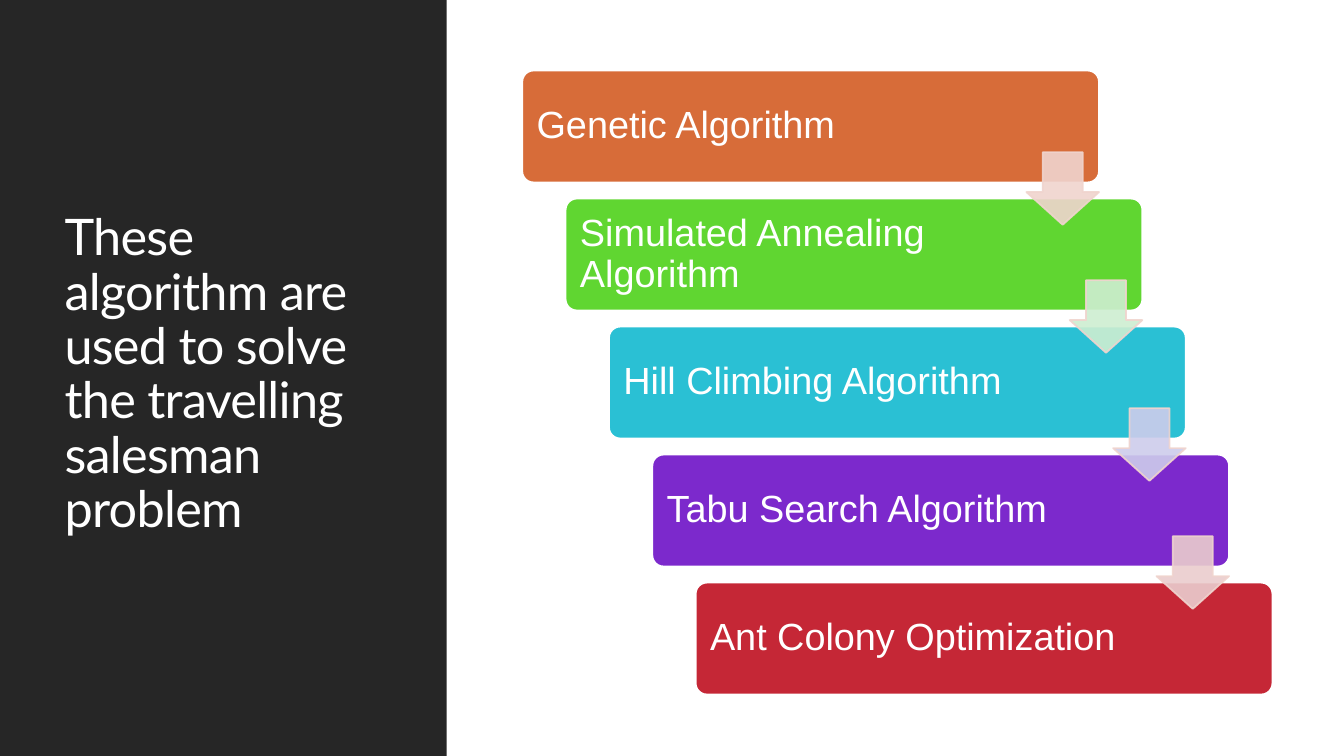
from lxml.etree import SubElement
from pptx import Presentation
from pptx.dml.color import RGBColor
from pptx.enum.shapes import MSO_SHAPE
from pptx.enum.text import MSO_ANCHOR, MSO_AUTO_SIZE, PP_ALIGN
from pptx.oxml.ns import qn
from pptx.util import Inches, Pt

WHITE, CHARCOAL, BLUSH = "FFFFFF", "262626", "F0D4CE"
ARROW_OPACITY = 90

# Algorithm, card colour, colour of the arrow leading to the next card
STEPS = [
    ("Genetic Algorithm", "D76C39", "F0D4CE"),
    ("Simulated Annealing Algorithm", "60D631", "CEEED1"),
    ("Hill Climbing Algorithm", "2AC0D4", "CECDEC"),
    ("Tabu Search Algorithm", "7C29CC", "EACDCE"),
    ("Ant Colony Optimization", "C52736", None),
]

# Staircase geometry in inches
FIRST_LEFT, FIRST_TOP = 5.18, 0.7
STEP_RIGHT, STEP_DOWN = 0.43, 1.27
CARD_WIDTH, CARD_HEIGHT = 5.72, 1.11
ARROW_SIZE, ARROW_RIGHT, ARROW_DOWN = 0.72, 5.0, 0.81


def paint(format_with_color, color, opacity=100):
    """Apply a solid colour to a fill, with optional transparency."""
    format_with_color.solid()
    format_with_color.fore_color.rgb = RGBColor.from_string(color)
    if opacity < 100:
        solid = format_with_color.fore_color._xFill
        SubElement(solid[0], qn("a:alpha"), val=str(opacity * 1000))


def add_block(slide, kind, box, color, line=None, opacity=100, adjust=()):
    block = slide.shapes.add_shape(kind, *(Inches(length) for length in box))
    block.shadow.inherit = False
    for index, value in enumerate(adjust):
        block.adjustments[index] = value
    paint(block.fill, color, opacity)
    if line:
        block.line.width = Pt(1.25)
        paint(block.line.fill, line, opacity)
    else:
        block.line.fill.background()
    return block


def write(holder, text, font, size, color=WHITE, margins=(0.1, 0.05, 0.1, 0.05),
          space_after=0, tracking=0):
    """Fill a shape with left-aligned, vertically centred text."""
    frame = holder.text_frame
    frame.word_wrap = True
    frame.auto_size = MSO_AUTO_SIZE.NONE
    frame.vertical_anchor = MSO_ANCHOR.MIDDLE
    (frame.margin_left, frame.margin_top,
     frame.margin_right, frame.margin_bottom) = (Inches(m) for m in margins)
    paragraph = frame.paragraphs[0]
    paragraph.alignment = PP_ALIGN.LEFT
    paragraph.line_spacing = 0.9
    paragraph.space_before = Pt(0)
    paragraph.space_after = Pt(space_after)
    run = paragraph.add_run()
    run.text = text
    run.font.name = font
    run.font.size = Pt(size)
    run.font.color.rgb = RGBColor.from_string(color)
    if tracking:
        run.font._element.set("spc", str(int(tracking * 100)))


def add_sidebar(slide):
    sidebar = add_block(slide, MSO_SHAPE.RECTANGLE, (0, 0, 4.43, 7.5), CHARCOAL)
    # Send the panel behind the title
    slide.shapes._spTree.insert(2, sidebar._element)
    title = slide.shapes.title
    title.left, title.top = Inches(0.54), Inches(0.57)
    title.width, title.height = Inches(3.37), Inches(6.31)
    write(title, "These algorithm are used to solve the travelling salesman problem",
          "Lato", 36, space_after=6, tracking=-0.5)


def add_card(slide, left, top, name, color):
    card = add_block(slide, MSO_SHAPE.ROUNDED_RECTANGLE,
                     (left, top, CARD_WIDTH, CARD_HEIGHT), color, WHITE, adjust=(0.1,))
    write(card, name, "Arial", 27, margins=(0.11, 0.11, 1.15, 0.11))


def add_arrow(slide, left, top, color):
    add_block(slide, MSO_SHAPE.DOWN_ARROW, (left, top, ARROW_SIZE, ARROW_SIZE),
              color, BLUSH, ARROW_OPACITY, adjust=(0.55, 0.45))


def main():
    deck = Presentation()
    deck.slide_width, deck.slide_height = Inches(13.33), Inches(7.5)
    slide = deck.slides.add_slide(deck.slide_layouts[5])
    paint(slide.background.fill, WHITE)
    add_sidebar(slide)

    # Cards first, so that the arrows lie on top of them
    corners = [(FIRST_LEFT + i * STEP_RIGHT, FIRST_TOP + i * STEP_DOWN)
               for i in range(len(STEPS))]
    for (left, top), (name, color, _) in zip(corners, STEPS):
        add_card(slide, left, top, name, color)
    for (left, top), (_, _, arrow_color) in zip(corners, STEPS):
        if arrow_color:
            add_arrow(slide, left + ARROW_RIGHT, top + ARROW_DOWN, arrow_color)

    deck.save("out.pptx")


if __name__ == "__main__":
    main()
